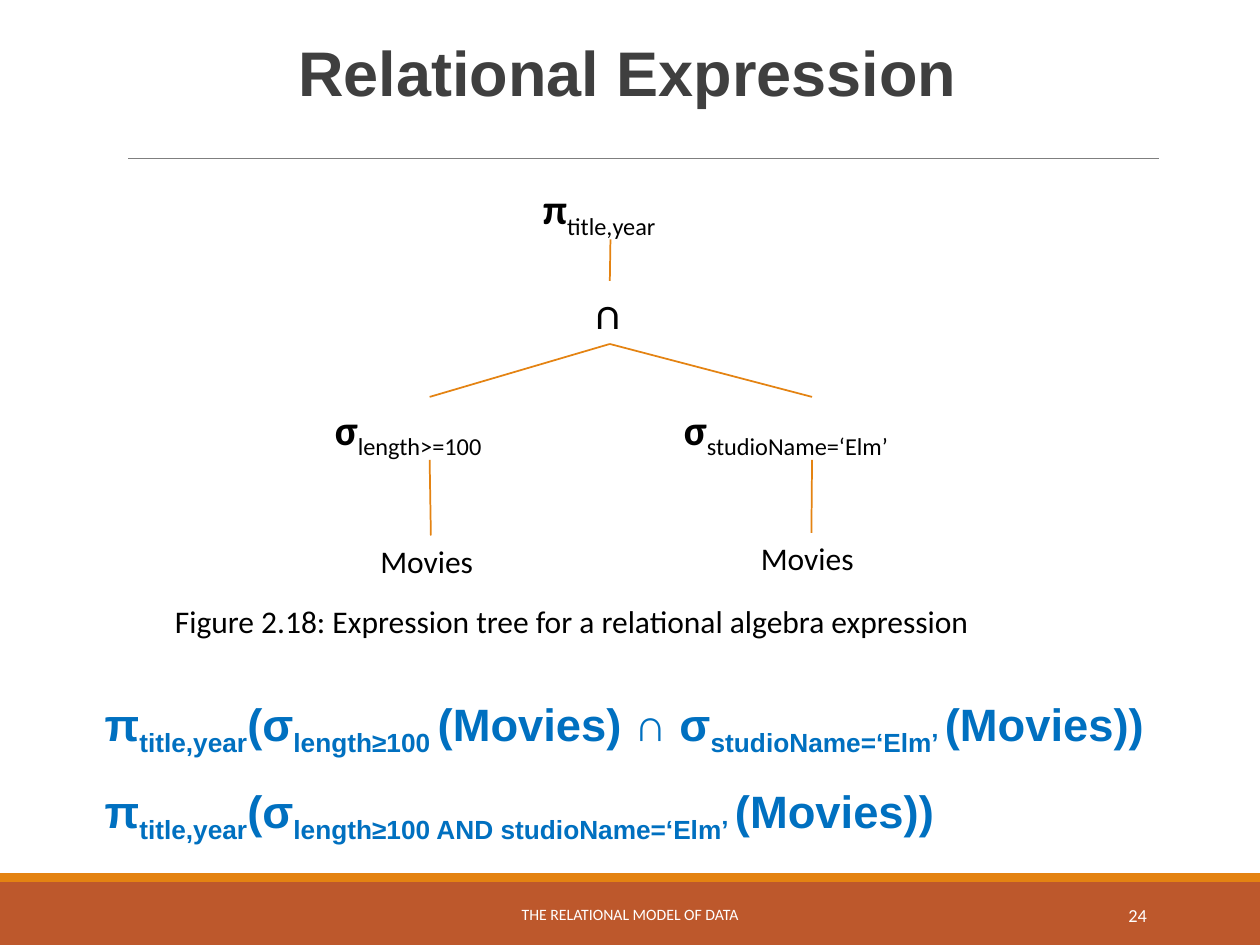
"""Build the slide on relational expressions with its expression tree."""
from dataclasses import dataclass

from lxml import etree
from pptx import Presentation
from pptx import util as u
from pptx.dml.color import RGBColor
from pptx.enum import shapes, text
from pptx.oxml.ns import qn

BLACK = RGBColor(0x00, 0x00, 0x00)
WHITE = RGBColor(0xFF, 0xFF, 0xFF)
TITLE_GREY = RGBColor(0x3F, 0x3F, 0x3F)
RULE_GREY = RGBColor(0x7F, 0x7F, 0x7F)
ORANGE = RGBColor(0xE4, 0x83, 0x12)
RUST = RGBColor(0xBD, 0x58, 0x2C)
BLUE = RGBColor(0x00, 0x70, 0xC0)

TOP, BOTTOM = 0, 2
HANGING_INDENT = {"marL": 0.48, "indent": -0.35}
STUDIO_CONDITION = "studioName=‘Elm’"


@dataclass(frozen=True)
class Box:
    left: float
    top: float
    width: float
    height: float

    def lengths(self) -> list:
        return [u.Inches(value) for value in (self.left, self.top, self.width, self.height)]


@dataclass(frozen=True)
class Style:
    size: float
    color: RGBColor = BLACK
    name: str = "Calibri"
    bold: bool = False
    bold_subscript: bool = False


@dataclass(frozen=True)
class Label:
    box: Box
    pieces: tuple
    style: Style
    frame: dict
    align: text.PP_ALIGN = text.PP_ALIGN.LEFT


def set_all(target, values: dict) -> None:
    for key, value in values.items():
        setattr(target, key, value)


def write_pieces(paragraph, pieces: tuple, style: Style) -> None:
    """Write pieces that alternate between normal text and subscript."""
    for index, piece in enumerate(pieces):
        subscript = index % 2 == 1
        run = paragraph.add_run()
        run.text = piece
        set_all(run.font, {"size": u.Pt(style.size), "name": style.name,
                           "bold": style.bold_subscript if subscript else style.bold})
        run.font.color.rgb = style.color
        if subscript:
            run.font._element.set("baseline", "-25000")


def add_label(slide, label: Label):
    shape = slide.shapes.add_textbox(*label.box.lengths())
    set_all(shape.text_frame, {"word_wrap": True, **label.frame})
    paragraph = shape.text_frame.paragraphs[0]
    paragraph.alignment = label.align
    write_pieces(paragraph, label.pieces, label.style)
    return shape


def add_bar(slide, box: Box, color: RGBColor) -> None:
    shape = slide.shapes.add_shape(shapes.MSO_SHAPE.RECTANGLE, *box.lengths())
    shape.shadow.inherit = False
    shape.fill.solid()
    shape.fill.fore_color.rgb = color
    shape.line.fill.background()


def add_line(slide, start: tuple, end: tuple, color: RGBColor, width: float):
    points = [u.Inches(value) for value in start + end]
    line = slide.shapes.add_connector(shapes.MSO_CONNECTOR.STRAIGHT, *points)
    line.line.color.rgb = color
    line.line.width = u.Pt(width)
    etree.SubElement(line._element.spPr, qn("a:effectLst"))
    return line


def add_title(slide) -> None:
    title = slide.shapes.title
    set_all(title, dict(zip(("left", "top", "width", "height"),
                            Box(0.64, 0.31, 8.68, 0.92).lengths())))
    set_all(title.text_frame, {"vertical_anchor": text.MSO_ANCHOR.TOP,
                               "auto_size": text.MSO_AUTO_SIZE.NONE})
    paragraph = title.text_frame.paragraphs[0]
    set_all(paragraph, {"alignment": text.PP_ALIGN.CENTER, "line_spacing": 0.85})
    write_pieces(paragraph, ("Relational Expression",), Style(36, TITLE_GREY, "Arial", True))


def add_tree(slide) -> None:
    operator, relation = Style(24, bold=True), Style(18)
    grow = {"auto_size": text.MSO_AUTO_SIZE.SHAPE_TO_FIT_TEXT}
    labels = {
        "projection": Label(Box(4.21, 1.4, 1.27, 0.5), ("π", "title,year"), operator, grow),
        "intersection": Label(Box(4.61, 2.23, 0.46, 0.5), ("∩",), operator, grow),
        "length": Label(Box(2.56, 3.15, 1.7, 0.5), ("σ", "length>=100"), operator, grow),
        "studio": Label(Box(5.33, 3.15, 2.23, 0.5), ("σ", STUDIO_CONDITION), operator, grow),
        "left movies": Label(Box(2.92, 4.25, 1, 0.4), ("Movies",), relation, grow),
        "right movies": Label(Box(5.94, 4.23, 1, 0.4), ("Movies",), relation, grow),
    }
    nodes = {key: add_label(slide, label) for key, label in labels.items()}
    edges = (("projection", "intersection"), ("intersection", "length"),
             ("intersection", "studio"), ("length", "left movies"), ("studio", "right movies"))
    for parent, child in edges:
        line = add_line(slide, (0, 0), (1, 1), ORANGE, 1)
        line.begin_connect(nodes[parent], BOTTOM)
        line.end_connect(nodes[child], TOP)
    caption = "Figure 2.18: Expression tree for a relational algebra expression"
    add_label(slide, Label(Box(1.29, 4.73, 7.18, 0.4), (caption,), relation, grow))


def add_formulas(slide) -> None:
    formulas = (
        ("π", "title,year", "(σ", "length≥100 ", "(Movies) ∩ σ", f"{STUDIO_CONDITION} ",
         "(Movies))"),
        ("π", "title,year", "(σ", f"length≥100 AND {STUDIO_CONDITION} ", "(Movies))"),
    )
    frame = slide.shapes.add_textbox(*Box(0.64, 5.23, 9.25, 1.33).lengths()).text_frame
    set_all(frame, {"word_wrap": True, "margin_left": u.Inches(0.06),
                    "margin_top": u.Inches(0.1)})
    for index, pieces in enumerate(formulas):
        paragraph = frame.add_paragraph() if index else frame.paragraphs[0]
        paragraph.line_spacing = 1.4
        for key, value in HANGING_INDENT.items():
            paragraph._p.get_or_add_pPr().set(key, str(u.Inches(value)))
        write_pieces(paragraph, pieces, Style(25.9, BLUE, "Arial", True, True))


def main() -> None:
    presentation = Presentation()
    set_all(presentation, {"slide_width": u.Inches(10), "slide_height": u.Inches(7.5)})
    slide = presentation.slides.add_slide(presentation.slide_layouts[5])
    add_bar(slide, Box(0, 7, 10, 0.5), RUST)
    add_bar(slide, Box(0, 6.93, 10, 0.07), ORANGE)
    add_line(slide, (1.02, 1.26), (9.2, 1.26), RULE_GREY, 0.75)
    add_title(slide)
    middle = {"vertical_anchor": text.MSO_ANCHOR.MIDDLE}
    add_label(slide, Label(Box(3.02, 7.06, 3.96, 0.4), ("THE RELATIONAL MODEL OF DATA",),
                           Style(9, WHITE), middle, text.PP_ALIGN.CENTER))
    add_label(slide, Label(Box(8.12, 7.06, 1.08, 0.4), ("24",),
                           Style(10.5, WHITE), middle, text.PP_ALIGN.RIGHT))
    add_tree(slide)
    add_formulas(slide)
    presentation.save("out.pptx")


if __name__ == "__main__":
    main()
